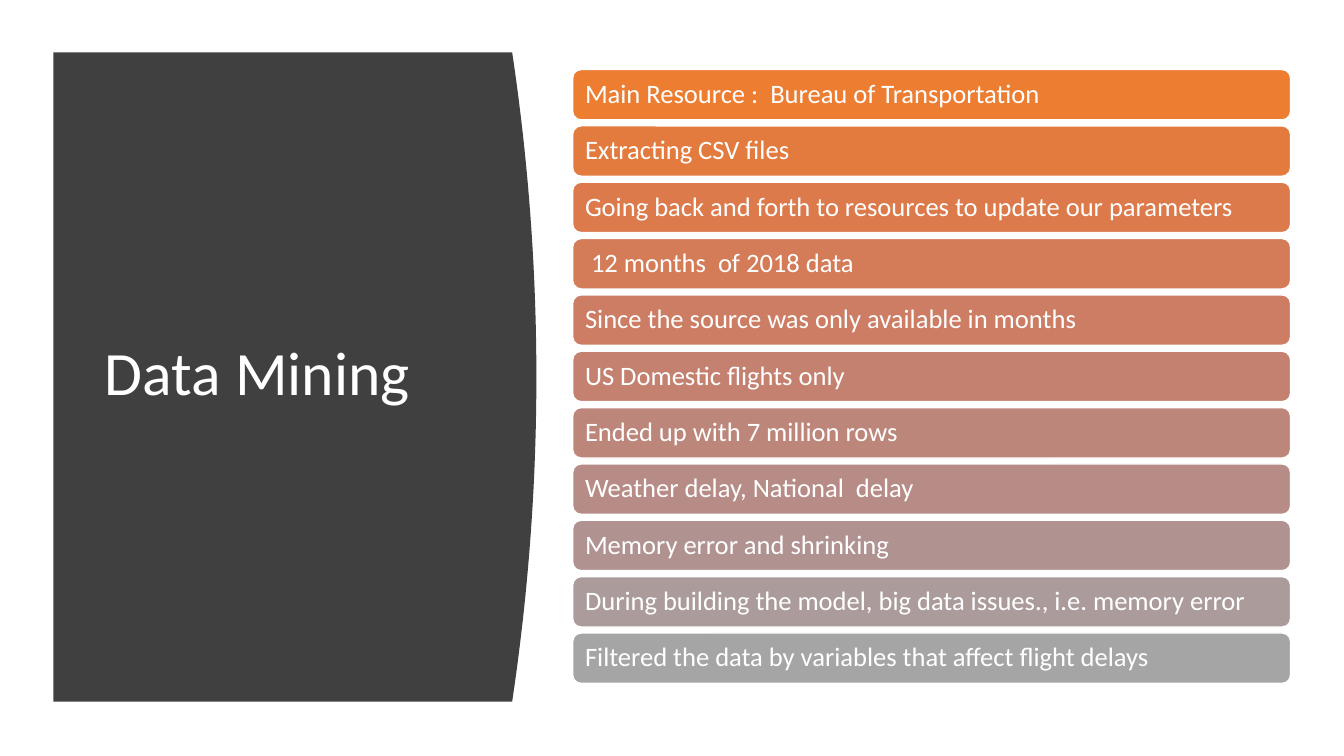
"""Build the Data Mining slide: a curved title panel beside a stack of coloured bars."""
from dataclasses import dataclass

from pptx import Presentation
from pptx import util as u
from pptx.dml.color import RGBColor
from pptx.enum import shapes, text

WHITE = "FFFFFF"
PANEL_LEFT, PANEL_TOP, PANEL_BOTTOM = 0.53, 0.52, 6.96
PANEL_EDGE, PANEL_BULGE, CURVE_STEPS = 5.08, 0.24, 40
BAR_LEFT, BAR_WIDTH, BAR_HEIGHT = 5.68, 7.12, 0.5
FIRST_BAR_TOP, LAST_BAR_TOP = 0.69, 6.28


@dataclass
class Bar:
    label: str
    color: str


BARS = [
    Bar("Main Resource :  Bureau of Transportation", "ED7D31"),
    Bar("Extracting CSV files", "E47B3E"),
    Bar("Going back and forth to resources to update our parameters", "DC7A4B"),
    Bar(" 12 months  of 2018 data", "D47B58"),
    Bar("Since the source was only available in months", "CC7D64"),
    Bar("US Domestic flights only", "C48170"),
    Bar("Ended up with 7 million rows", "BD867B"),
    Bar("Weather delay, National  delay", "B78C86"),
    Bar("Memory error and shrinking", "B09391"),
    Bar("During building the model, big data issues., i.e. memory error", "AB9C9B"),
    Bar("Filtered the data by variables that affect flight delays", "A5A5A5"),
]


def set_all(target, values: dict) -> None:
    for name, value in values.items():
        setattr(target, name, value)


def paint(color_format, color: str) -> None:
    color_format.rgb = RGBColor.from_string(color)


def fill_shape(shape, color: str) -> None:
    shape.shadow.inherit = False
    shape.fill.solid()
    paint(shape.fill.fore_color, color)


def write(shape, label: str, size: float, inset: float) -> None:
    frame = shape.text_frame
    set_all(frame, {
        "word_wrap": True,
        "auto_size": text.MSO_AUTO_SIZE.NONE,
        "vertical_anchor": text.MSO_ANCHOR.MIDDLE,
        "margin_left": u.Inches(inset),
        "margin_right": u.Inches(inset),
        "margin_top": u.Inches(0.05),
        "margin_bottom": u.Inches(0.05),
    })
    para = frame.paragraphs[0]
    set_all(para, {"alignment": text.PP_ALIGN.LEFT, "line_spacing": 0.9})
    span = para.add_run()
    span.text = label
    set_all(span.font, {"name": "Calibri", "size": u.Pt(size)})
    paint(span.font.color, WHITE)


def add_panel(page):
    middle = (PANEL_TOP + PANEL_BOTTOM) / 2
    half = (PANEL_BOTTOM - PANEL_TOP) / 2
    curve = []
    for step in range(CURVE_STEPS + 1):
        offset = 2 * step / CURVE_STEPS - 1
        x = PANEL_EDGE + PANEL_BULGE * (1 - offset ** 2)
        curve.append((u.Inches(x), u.Inches(middle + half * offset)))
    builder = page.shapes.build_freeform(u.Inches(PANEL_LEFT), u.Inches(PANEL_TOP))
    corner = (u.Inches(PANEL_LEFT), u.Inches(PANEL_BOTTOM))
    builder.add_line_segments(curve + [corner], close=True)
    panel = builder.convert_to_shape()
    fill_shape(panel, "404040")
    panel.line.fill.background()
    return panel


def add_title(page, panel) -> None:
    title = page.shapes.title
    set_all(title, {
        "left": u.Inches(0.94),
        "top": u.Inches(1.11),
        "width": u.Inches(3.74),
        "height": u.Inches(5.24),
    })
    write(title, "Data Mining", 44, 0.1)
    title.element.addprevious(panel.element)


def add_bar(page, bar: Bar, top: float) -> None:
    box = page.shapes.add_shape(
        shapes.MSO_SHAPE.ROUNDED_RECTANGLE,
        u.Inches(BAR_LEFT), u.Inches(top), u.Inches(BAR_WIDTH), u.Inches(BAR_HEIGHT),
    )
    fill_shape(box, bar.color)
    paint(box.line.color, WHITE)
    box.line.width = u.Pt(1)
    write(box, bar.label, 19, 0.1)


def main() -> None:
    deck = Presentation()
    set_all(deck, {"slide_width": u.Inches(13.33), "slide_height": u.Inches(7.5)})
    page = deck.slides.add_slide(deck.slide_layouts.get_by_name("Title Only"))
    add_title(page, add_panel(page))
    pitch = (LAST_BAR_TOP - FIRST_BAR_TOP) / (len(BARS) - 1)
    for index, bar in enumerate(BARS):
        add_bar(page, bar, FIRST_BAR_TOP + index * pitch)
    deck.save("out.pptx")


if __name__ == "__main__":
    main()
